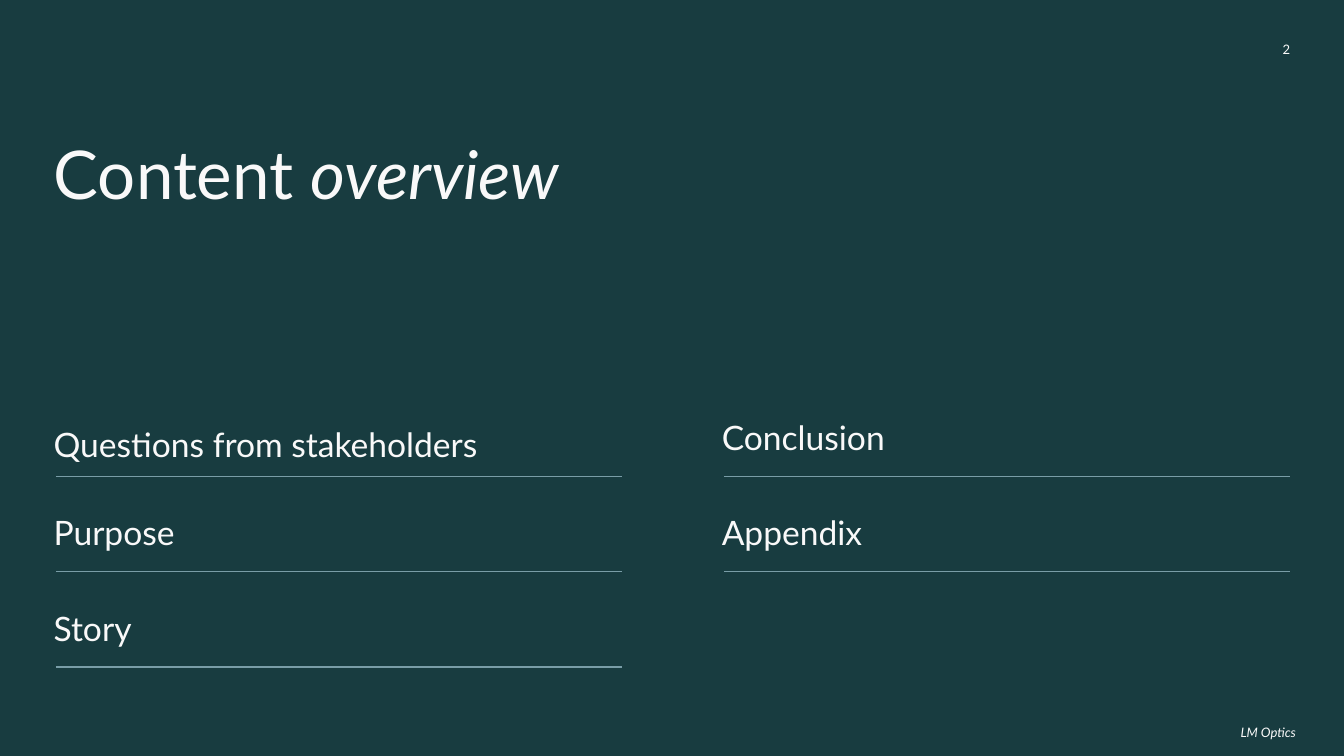
from lxml.etree import SubElement
from pptx import Presentation
from pptx.dml.color import RGBColor
from pptx.enum.shapes import MSO_CONNECTOR
from pptx.enum.text import MSO_ANCHOR, MSO_AUTO_SIZE, PP_ALIGN
from pptx.oxml.ns import qn
from pptx.util import Pt

TITLE = [("Content ", False), ("overview", True)]
COLUMNS = [
    ["Questions from stakeholders", "Purpose", "Story"],
    ["Conclusion", "Appendix"],
]
PAGE_NUMBER = "2"
FOOTER = "LM Optics"

BACKGROUND = RGBColor(0x18, 0x3C, 0x40)
TEXT = RGBColor(0xF9, 0xF9, 0xF9)
RULE = RGBColor(0x79, 0x9D, 0xA7)
FONT = "Lato"

LEFT, TOP = 28.7, 223.9
COLUMN_STEP, ROW_STEP = 358, 51.1
ENTRY_WIDTH, ENTRY_HEIGHT, GROWN_HEIGHT = 248.4, 17.3, 24.8
RULE_INDENT, RULE_DROP, RULE_WIDTH = 1.2, 31.3, 303.2


def add_text(s, box, runs, size, anchor=MSO_ANCHOR.MIDDLE, spacing=None,
             align=PP_ALIGN.LEFT, grow=False):
    sp = s.shapes.add_textbox(*map(Pt, box))
    tf = sp.text_frame
    tf.word_wrap = True
    tf.auto_size = MSO_AUTO_SIZE.SHAPE_TO_FIT_TEXT if grow else MSO_AUTO_SIZE.NONE
    tf.vertical_anchor = anchor
    tf.margin_left = tf.margin_right = tf.margin_top = tf.margin_bottom = 0
    p = tf.paragraphs[0]
    p.alignment = align
    if spacing:
        p.line_spacing = spacing
    for text, italic in runs:
        r = p.add_run()
        r.text = text
        r.font.name = FONT
        r.font.size = Pt(size)
        r.font.italic = italic
        r.font.color.rgb = TEXT


def add_rule(s, x, y):
    line = s.shapes.add_connector(
        MSO_CONNECTOR.STRAIGHT, Pt(x), Pt(y), Pt(x + RULE_WIDTH), Pt(y))
    line.line.color.rgb = RULE
    line.line.width = Pt(0.75)
    SubElement(line._element.spPr, qn("a:effectLst"))


prs = Presentation()
prs.slide_width, prs.slide_height = Pt(720), Pt(405)
s = prs.slides.add_slide(prs.slide_layouts[6])
s.background.fill.solid()
s.background.fill.fore_color.rgb = BACKGROUND

add_text(s, (28.8, 75.6, 327.6, 39.6), TITLE, 36, MSO_ANCHOR.TOP, 0.9, grow=True)
add_text(s, (648, 17.3, 43.2, 18.7), [(PAGE_NUMBER, False)], 7,
         align=PP_ALIGN.RIGHT)
add_text(s, (664.6, 383, 53.3, 18.7), [(FOOTER, True)], 7)

for col, entries in enumerate(COLUMNS):
    x = LEFT + col * COLUMN_STEP
    for row, entry in enumerate(entries):
        y = TOP + row * ROW_STEP
        grow = col == row == 0
        height = GROWN_HEIGHT if grow else ENTRY_HEIGHT
        add_text(s, (x, y, ENTRY_WIDTH, height), [(entry, False)], 18,
                 spacing=1.15, grow=grow)
        add_rule(s, x + RULE_INDENT, y + RULE_DROP)

prs.save("out.pptx")
